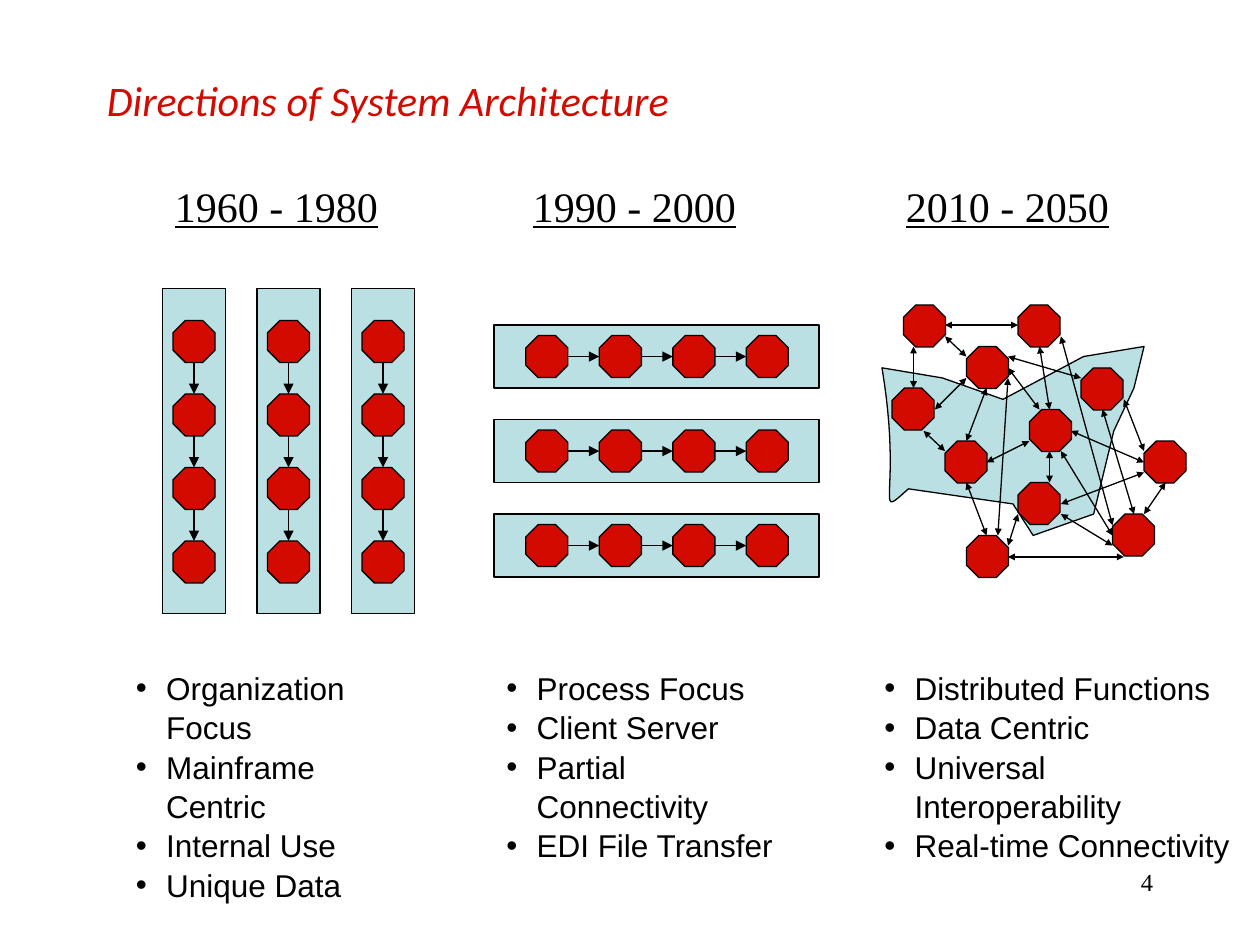
from typing import NamedTuple

from lxml.etree import SubElement
from pptx import Presentation
from pptx.dml.color import RGBColor
from pptx.enum.shapes import MSO_CONNECTOR as Conn, MSO_SHAPE as Kind
from pptx.enum.text import MSO_ANCHOR as Anchor, PP_ALIGN as Align
from pptx.oxml.ns import qn
from pptx.util import Inches, Pt

RED = RGBColor(0xD3, 0x0A, 0x00)
PALE = RGBColor(0xBB, 0xE0, 0xE3)
BLACK = RGBColor(0, 0, 0)
THIN = Pt(0.75)

NODE = 1 / 3        # width of an octagon
STEP = 7 / 12       # from one octagon to the next in a lane
LANE, DEEP = 2.58, 0.5
LEAD = 0.42         # lane end to first octagon centre
PITCH = 0.75        # from one lane to the next


class Point(NamedTuple):
    x: float
    y: float


class Link(NamedTuple):
    start: Point
    end: Point


class Box(NamedTuple):
    x: float
    y: float
    w: float
    h: float


class Font(NamedTuple):
    name: str
    size: int
    color: RGBColor = BLACK
    italic: bool = False
    under: bool = False


class Era(NamedTuple):
    years: str
    head: float
    list_x: float
    list_w: float
    items: tuple[str, ...]


ERAS = (
    Era("1960 - 1980", 1.29, 0.98, 2.45,
        ("Organization Focus", "Mainframe Centric", "Internal Use", "Unique Data")),
    Era("1990 - 2000", 4.13, 3.92, 2.42,
        ("Process Focus", "Client Server", "Partial Connectivity", "EDI File Transfer")),
    Era("2010 - 2050", 7.09, 6.92, 3.04,
        ("Distributed Functions", "Data Centric", "Universal Interoperability",
         "Real-time Connectivity")),
)

# Top left corners of the octagons in the web
WEB = [Point(*p) for p in (
    (7.17, 2.42), (8.08, 2.42), (7.08, 3.08), (7.67, 2.75), (8.58, 2.92), (7.5, 3.5),
    (8.17, 3.25), (7.67, 4.25), (9.08, 3.5), (8.08, 3.83), (8.83, 4.08))]

LINKS = [Link(Point(a, b), Point(c, d)) for a, b, c, d in (
    (7.5, 2.67, 7.67, 2.83), (7.5, 2.58, 8.08, 2.58), (7.25, 2.75, 7.25, 3.08),
    (7.83, 3.08, 7.67, 3.5), (7.67, 3.83, 7.83, 4.25), (8.25, 2.75, 8.33, 3.25),
    (8.75, 3.25, 9, 4.08), (8.42, 2.67, 8.83, 4.17), (8, 3, 7.92, 4.25),
    (7.33, 3.42, 7.5, 3.58), (8, 2.92, 8.25, 3.25), (8.33, 3.58, 8.33, 3.83),
    (8.42, 3.58, 8.83, 4.25), (8.92, 3.17, 9.08, 3.58), (9.25, 3.83, 9.08, 4.08),
    (8, 4.42, 8.92, 4.42), (8.42, 4.08, 8.83, 4.33), (8.08, 4.08, 8, 4.33),
    (7.67, 3, 7.42, 3.25), (8.17, 3.5, 7.83, 3.67), (8, 2.83, 8.58, 3),
    (8.5, 3.42, 9.08, 3.67), (8.42, 4, 9.08, 3.75))]

# Left edge of the cloud as a cubic curve, then its straight sides
CURVE = [Point(*p) for p in ((7, 2.92), (7.17, 3.94), (6.92, 4.14), (7.21, 3.88))]
SIDES = [Point(*p) for p in (
    (8.04, 4), (8.2, 4.25), (8.68, 4.08), (8.84, 3.42), (9, 3.08), (9.08, 2.75),
    (8.6, 2.83), (8.28, 3), (7.96, 3.17), (7.48, 3))]

deck = Presentation()
deck.slide_width, deck.slide_height = Inches(10), Inches(7.5)
slide = deck.slides.add_slide(deck.slide_layouts[6])
shapes = slide.shapes


def paint(shape, fill: RGBColor) -> None:
    shape.shadow.inherit = False
    shape.fill.solid()
    shape.fill.fore_color.rgb = fill
    shape.line.color.rgb = BLACK
    shape.line.width = THIN


def add_block(kind: Kind, box: Box, fill: RGBColor) -> None:
    paint(shapes.add_shape(kind, *map(Inches, box)), fill)


def add_node(x: float, y: float) -> None:
    add_block(Kind.OCTAGON, Box(x, y, NODE, NODE), RED)


def add_arrow(link: Link, both: bool = False) -> None:
    """Draw an arrow; one that points both ways has small heads."""
    line = shapes.add_connector(Conn.STRAIGHT, *map(Inches, link.start + link.end))
    line.line.color.rgb = BLACK
    line.line.width = THIN
    size = "sm" if both else "med"
    for tag in ("a:headEnd", "a:tailEnd") if both else ("a:tailEnd",):
        SubElement(line.line._ln, qn(tag), type="triangle", w=size, len=size)
    SubElement(line._element.spPr, qn("a:effectLst"))


def add_lane(x: float, y: float, down: bool) -> None:
    """Draw a lane of four linked octagons, going down or to the right."""
    size = (DEEP, LANE) if down else (LANE, DEEP)
    add_block(Kind.RECTANGLE, Box(x, y, *size), PALE)

    def spot(along: float) -> Point:
        return Point(x + DEEP / 2, y + along) if down else Point(x + along, y + DEEP / 2)

    stops = [LEAD + STEP * i for i in range(4)]
    for stop in stops:
        mid = spot(stop)
        add_node(mid.x - NODE / 2, mid.y - NODE / 2)
    for a, b in zip(stops, stops[1:]):
        add_arrow(Link(spot(a + NODE / 2), spot(b - NODE / 2)))


def bend(t: float) -> Point:
    """Give the point at t on the cubic curve."""
    parts = ((1 - t) ** 3, 3 * t * (1 - t) ** 2, 3 * t * t * (1 - t), t ** 3)
    return Point(sum(k * p.x for k, p in zip(parts, CURVE)),
                 sum(k * p.y for k, p in zip(parts, CURVE)))


def add_cloud() -> None:
    start, *rest = [bend(i / 24) for i in range(25)] + SIDES
    pen = shapes.build_freeform(*map(Inches, start))
    pen.add_line_segments([tuple(map(Inches, p)) for p in rest], close=True)
    paint(pen.convert_to_shape(), PALE)


def add_text(box: Box, lines: tuple[str, ...], font: Font, wrap: bool = True,
             align: Align = Align.LEFT, anchor: Anchor = Anchor.TOP,
             bullet: bool = False) -> None:
    frame = shapes.add_textbox(*map(Inches, box)).text_frame
    frame.word_wrap = wrap
    frame.vertical_anchor = anchor
    for i, line in enumerate(lines):
        para = frame.paragraphs[0] if i == 0 else frame.add_paragraph()
        para.alignment = align
        if bullet:
            para.line_spacing = 1.04
            props = para._p.get_or_add_pPr()
            props.set("marL", str(Inches(0.24)))
            props.set("indent", str(-Inches(0.24)))
            SubElement(props, qn("a:buFont"), typeface="Arial")
            SubElement(props, qn("a:buChar"), char="•")
        run = para.add_run()
        run.text = line
        run.font.name, run.font.size = font.name, Pt(font.size)
        run.font.color.rgb = font.color
        run.font.italic, run.font.underline = font.italic, font.under


add_text(Box(7.17, 6.83, 2.08, 0.5), ("4",), Font("Times New Roman", 14), align=Align.RIGHT)
add_text(Box(0.75, 0.5, 8.5, 0.58), ("Directions of System Architecture",),
         Font("Calibri", 24, RED, italic=True), anchor=Anchor.MIDDLE)

add_cloud()
for n in range(3):
    add_lane(1.29 + PITCH * n, 2.29, down=True)
for n in range(3):
    add_lane(3.92, 2.58 + PITCH * n, down=False)
for node in WEB:
    add_node(*node)
for link in LINKS:
    add_arrow(link, both=True)

for era in ERAS:
    add_text(Box(era.head, 1.38, 1.81, 0.5), (era.years,),
             Font("Times New Roman", 24, under=True), wrap=False)
    add_text(Box(era.list_x, 5.25, era.list_w, 1.6), era.items, Font("Arial", 18), bullet=True)

deck.save("out.pptx")
